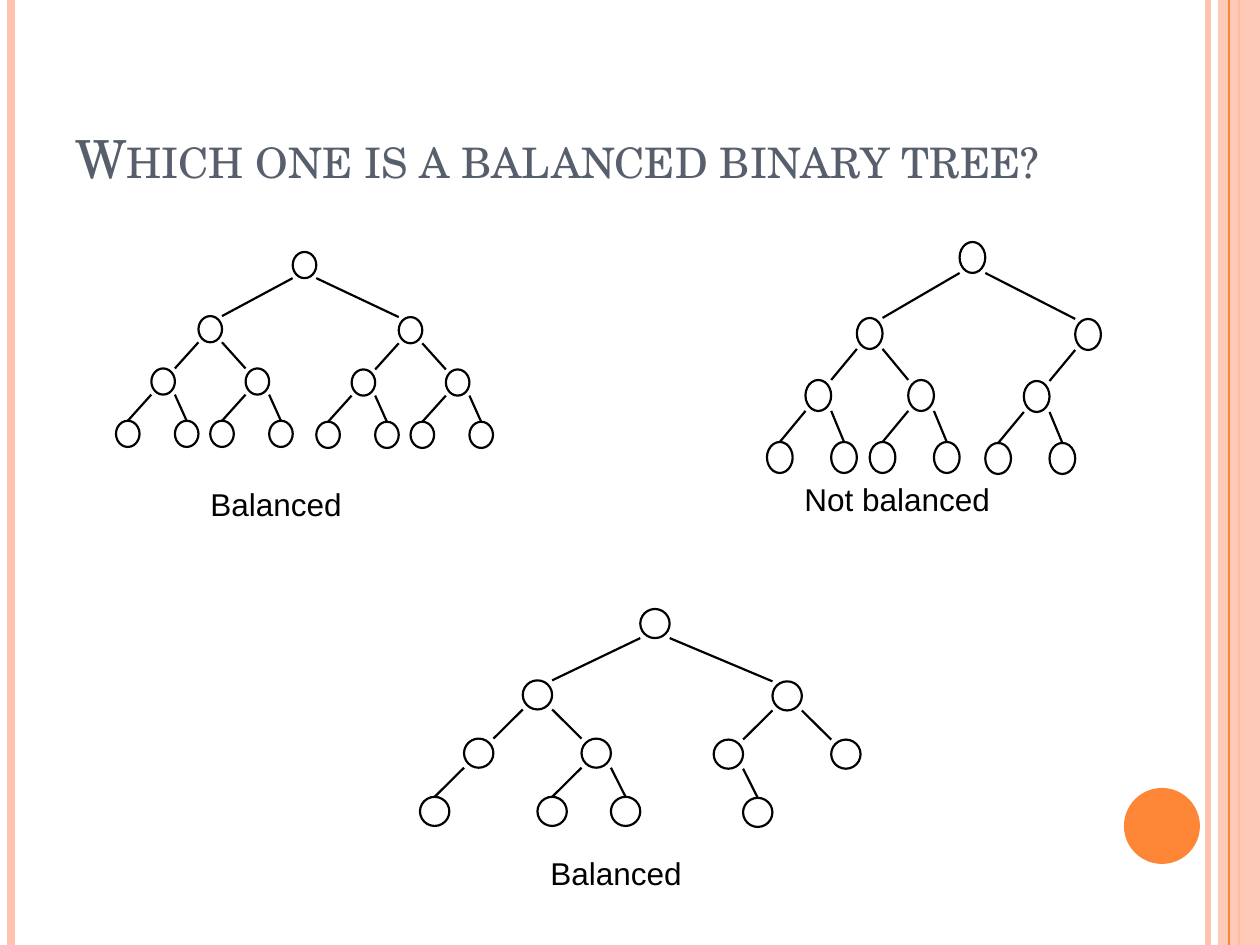
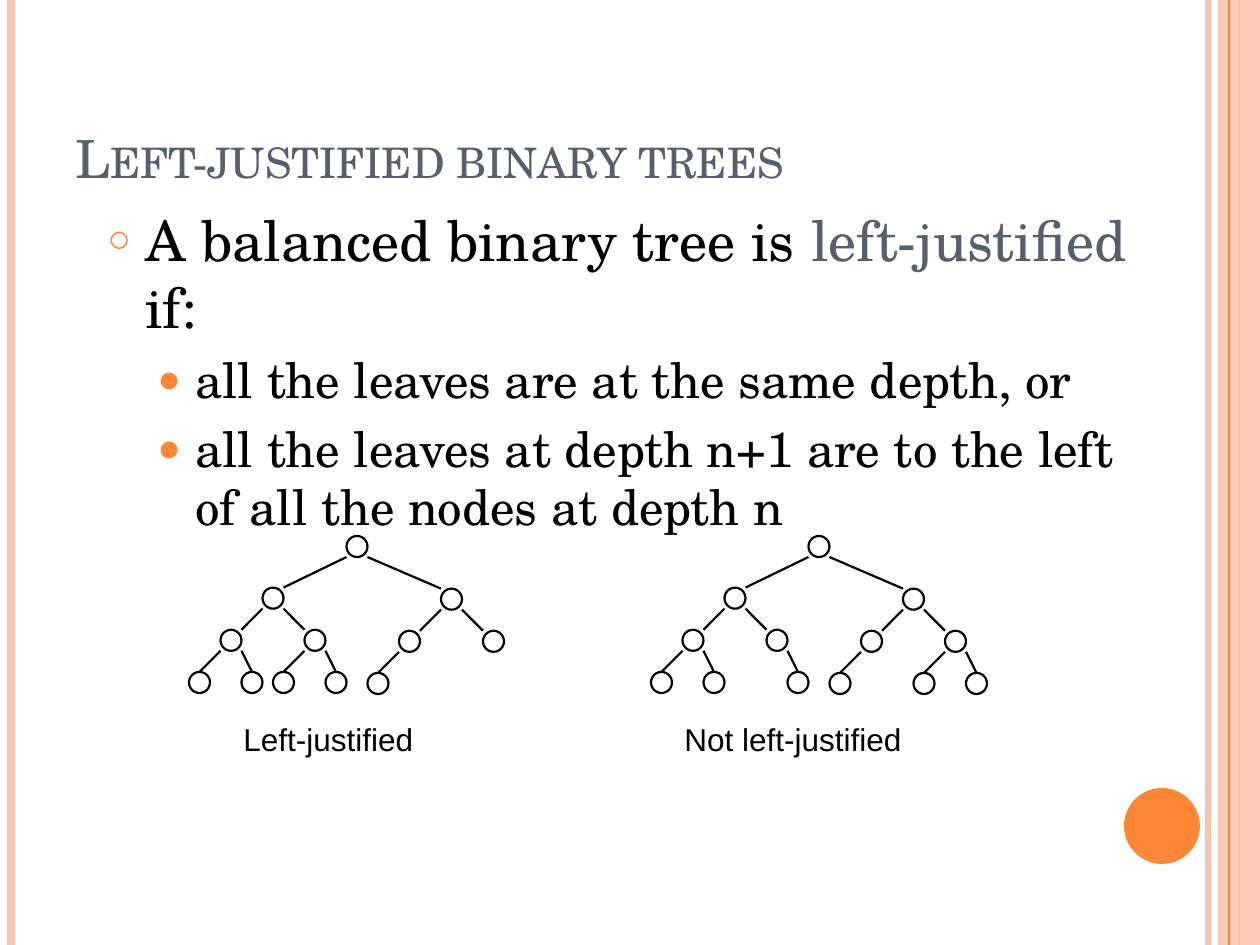
import pptx
import pptx.util
import pptx.dml.color
import pptx.enum.shapes
import pptx.enum.text
import pptx.oxml.ns
from lxml import etree

RGB = pptx.dml.color.RGBColor
PEACH = RGB(0xFE, 0xC3, 0xAE)
ORANGE = RGB(0xFE, 0x86, 0x37)
SLATE = RGB(0x57, 0x5F, 0x6D)
BLACK = RGB(0, 0, 0)
SERIF, SANS = "TeX Gyre Schola", "Arial"
PX = 914400 / 126
KIND = pptx.enum.shapes.MSO_SHAPE
qn = pptx.oxml.ns.qn


def rule(page, ends, tint, size):
    """Draw a straight line between two points given in px."""
    line = page.shapes.add_connector(
        pptx.enum.shapes.MSO_CONNECTOR.STRAIGHT, *[round(v * PX) for v in ends])
    line.line.color.rgb = tint
    line.line.width = pptx.util.Pt(size)
    etree.SubElement(line._element.spPr, qn("a:effectLst"))
    return line


def text(page, box, paras, font=SANS, size=18, tint=BLACK, caps=False,
         low=False, marks=None):
    """Add a text box; each paragraph is a list of (words, colour) runs.

    marks gives (bullet, bullet %, left px, size, space before) a paragraph.
    """
    shape = page.shapes.add_textbox(*[round(v * PX) for v in box])
    frame = shape.text_frame
    frame.word_wrap = True
    if low:
        frame.vertical_anchor = pptx.enum.text.MSO_ANCHOR.BOTTOM
    for i, runs in enumerate(paras):
        para = frame.paragraphs[0] if i == 0 else frame.add_paragraph()
        points = size
        if marks:
            sign, scale, left, points, gap = marks[i]
            props = para._p.get_or_add_pPr()
            props.set("marL", str(round(left * PX)))
            props.set("indent", str(round(-38 * PX)))
            para.space_before = pptx.util.Pt(gap)
            hue = etree.SubElement(props, qn("a:buClr"))
            etree.SubElement(hue, qn("a:srgbClr"), val=str(ORANGE))
            etree.SubElement(props, qn("a:buSzPct"), val=str(scale * 1000))
            etree.SubElement(props, qn("a:buFont"), typeface=SANS)
            etree.SubElement(props, qn("a:buChar"), char=sign)
        for words, shade in runs:
            run = para.add_run()
            run.text = words
            run.font.name = font
            run.font.size = pptx.util.Pt(points)
            run.font.color.rgb = shade or tint
            if caps:
                run.font._element.set("cap", "small")


deck = pptx.Presentation()
deck.slide_width = round(1260 * PX)
deck.slide_height = round(945 * PX)

# Title and side bands on both slides
pages = []
for head in ["Which one is a balanced binary tree?",
             "Left-justified binary trees"]:
    page = deck.slides.add_slide(deck.slide_layouts[6])
    pages.append(page)
    for x, tint, size in [(1208, PEACH, 3), (11, PEACH, 4.5),
                          (1239, ORANGE, 1.5)]:
        rule(page, (x, 0, x, 945), tint, size)
    for kind, box, tint in [(KIND.RECTANGLE, (1218, 0, 42, 945), PEACH),
                            (KIND.OVAL, (1124, 788, 76, 76), ORANGE)]:
        shape = page.shapes.add_shape(kind, *[round(v * PX) for v in box])
        shape.shadow.inherit = False
        shape.fill.solid()
        shape.fill.fore_color.rgb = tint
        shape.line.fill.background()
        if kind == KIND.RECTANGLE:
            shade = shape._element.spPr.find(".//" + qn("a:srgbClr"))
            etree.SubElement(shade, qn("a:alpha"), val="87000")
            rule(page, (1229, 0, 1229, 945), ORANGE, 0.75)
    text(page, (63, 38, 1029, 157), [[(head, None)]], font=SERIF, size=30,
         tint=SLATE, caps=True, low=True)
first, second = pages

# Definition
text(second, (95, 199, 1071, 305),
     [[("A balanced binary tree is ", None), ("left-justified", SLATE),
       (" if:", None)],
      [("all the leaves are at the same depth, or", None)],
      [("all the leaves at depth n+1 are to the left of all the nodes "
        "at depth n", None)]],
     font=SERIF,
     marks=[("○", 70, 38, 32, 0), ("●", 80, 88, 28, 5.6),
            ("●", 80, 88, 28, 5.6)])

# Trees: node n has children 2n and 2n+1; places are in node widths and heights
COLS = [7.5, 3.5, 12, 1.5, 5.5, 10, 14, 0, 2.5, 4, 6.5, 8.5, 11, 12.5, 15]
ROWS = [0, 2.45, 4.45, 6.45]
TREES = [
    (first, (116, 252, 377, 195), [], "Balanced", (198, 479, 213, 78)),
    (first, (420, 609, 470, 217), [9, 12, 14, 15], "Balanced",
     (538, 848, 280, 87)),
    (first, (767, 242, 411, 231), [7, 14, 15], "Not balanced",
     (792, 474, 321, 93)),
    (second, (189, 536, 336, 157), [13, 14, 15], "Left-justified",
     (231, 714, 262, 63)),
    (second, (651, 536, 336, 157), [10, 13], "Not left-justified",
     (672, 714, 336, 63)),
]
for page, (left, top, wide, high), gone, name, box in TREES:
    w, h = wide / 16, high / 7.45
    spots = {}
    for n, col in enumerate(COLS, 1):
        if n in gone:
            continue
        depth = n.bit_length() - 1
        dip = 1 if depth and n >> (depth - 1) == 3 else 0
        x, y = left + col * w, top + ROWS[depth] * h + dip
        spots[n] = x, y
        node = page.shapes.add_shape(
            KIND.OVAL, *[round(v * PX) for v in (x, y, w, h)])
        node.shadow.inherit = False
        node.fill.background()
        node.line.color.rgb = BLACK
        node.line.width = pptx.util.Pt(1.25)
        if n == 1:
            continue
        # Edge from the parent's lower corner to this node
        px, py = spots[n // 2]
        side = n % 2
        tip = x + w / 2 if depth == 3 else x + w * (1 - side)
        edge = rule(page, (px + w * side, py + h, tip, y), BLACK, 1.25)
        if depth == 3:
            edge.end_connect(node, 0)
    text(page, box, [[(name, None)]])

deck.save("out.pptx")
